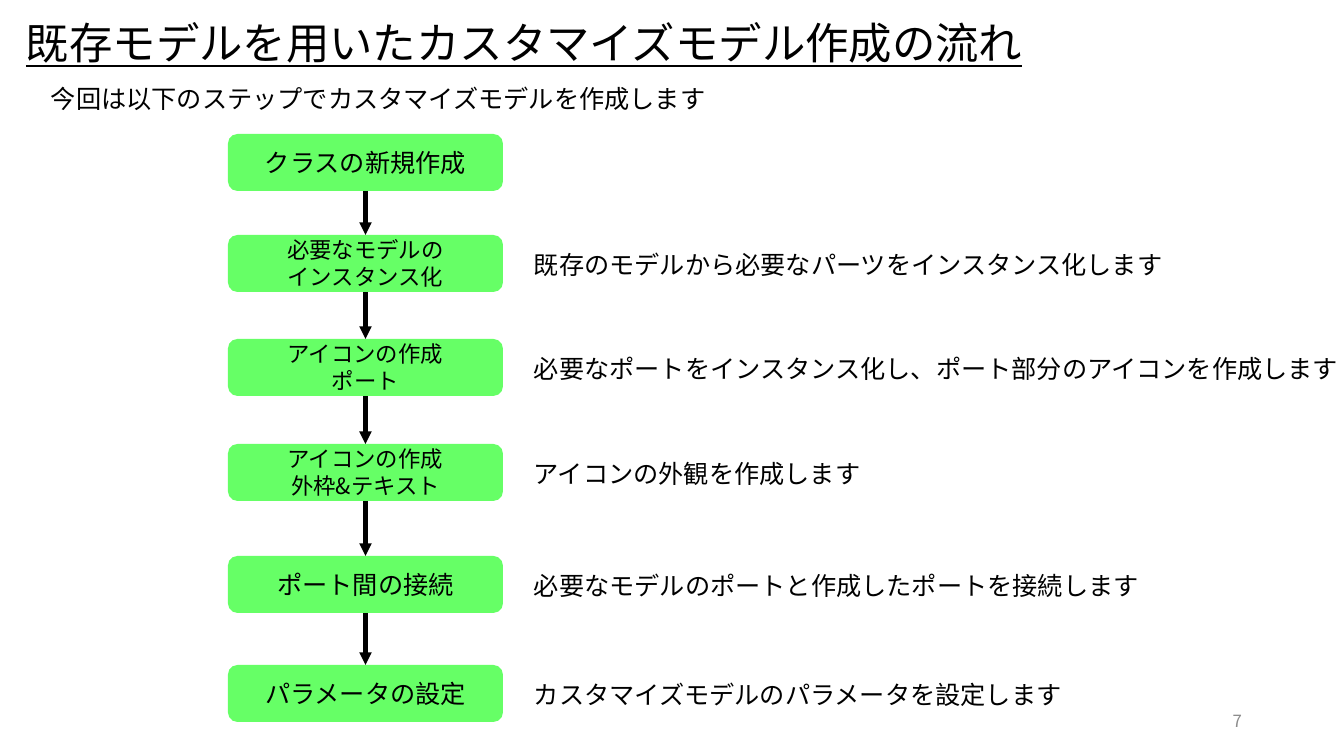
from lxml import etree
from pptx import Presentation
from pptx import util as u
from pptx.dml.color import RGBColor
from pptx.enum import shapes, text
from pptx.oxml import ns

PX = 914400 / 100.8
FONT = "Noto Sans CJK JP"
COLORS = {"ink": "000000", "step": "66FF66", "number": "8C8C8C"}


def px(*lengths):
    """Turn whole pixels into EMU lengths."""
    return [u.Emu(round(n * PX)) for n in lengths]


def write(sp, lines, size, color="ink", align="LEFT", anchor="TOP", wrap=False, **font):
    """Fill a shape with one formatted paragraph per line."""
    tf = sp.text_frame
    frame = {"auto_size": text.MSO_AUTO_SIZE.NONE, "word_wrap": wrap,
             "vertical_anchor": text.MSO_ANCHOR[anchor]}
    for name, value in frame.items():
        setattr(tf, name, value)
    for i, line in enumerate(lines):
        p = tf.paragraphs[0] if i == 0 else tf.add_paragraph()
        p.alignment = text.PP_ALIGN[align]
        r = p.add_run()
        r.text = line
        r.font.color.rgb = RGBColor.from_string(COLORS[color])
        for name, value in {"name": FONT, "size": u.Pt(size), **font}.items():
            setattr(r.font, name, value)
        ea = etree.SubElement(r.font._element, ns.qn("a:ea"))
        ea.set("typeface", FONT)


prs = Presentation()
prs.slide_width, prs.slide_height = px(1344, 756)
s = prs.slides.add_slide(prs.slide_layouts[5])

# Title and introduction
title = s.shapes.title
title.left, title.top, title.width, title.height = px(20, 10, 1019, 64)
tf = title.text_frame
for side in ("left", "top", "right", "bottom"):
    setattr(tf, "margin_" + side, px(6)[0])
write(title, ["既存モデルを用いたカスタマイズモデル作成の流れ"], 31, anchor="MIDDLE", underline=True)

intro = s.shapes.add_textbox(*px(41, 78, 682, 40))
write(intro, ["今回は以下のステップでカスタマイズモデルを作成します"], 18)

# Steps: top of box, label lines, explanation and its width
steps = [
    (134, ["クラスの新規作成"], None, 0),
    (235, ["必要なモデルの", "インスタンス化"],
     "既存のモデルから必要なパーツをインスタンス化します", 656),
    (339, ["アイコンの作成", "ポート"],
     "必要なポートをインスタンス化し、ポート部分のアイコンを作成します", 835),
    (444, ["アイコンの作成", "外枠&テキスト"], "アイコンの外観を作成します", 351),
    (556, ["ポート間の接続"], "必要なモデルのポートと作成したポートを接続します", 631),
    (665, ["パラメータの設定"], "カスタマイズモデルのパラメータを設定します", 554),
]
boxes = []
for top, label, explanation, width in steps:
    box = s.shapes.add_shape(shapes.MSO_SHAPE.ROUNDED_RECTANGLE, *px(228, top, 275, 57))
    box.shadow.inherit = False
    box.fill.solid()
    box.fill.fore_color.rgb = RGBColor.from_string(COLORS["step"])
    box.line.fill.background()
    write(box, label, 18 if len(label) == 1 else 16, align="CENTER", anchor="MIDDLE", wrap=True)
    boxes.append(box)
    if explanation:
        note = s.shapes.add_textbox(*px(524, top + 9, width, 40))
        write(note, [explanation], 18)

# Arrows from each step to the next
for upper, lower in zip(boxes, boxes[1:]):
    arrow = s.shapes.add_connector(shapes.MSO_CONNECTOR.STRAIGHT, 0, 0, 0, 0)
    arrow.begin_connect(upper, 2)
    arrow.end_connect(lower, 0)
    arrow.line.width = u.Pt(3)
    arrow.line.color.rgb = RGBColor.from_string(COLORS["ink"])
    etree.SubElement(arrow.line._get_or_add_ln(), ns.qn("a:tailEnd")).set("type", "triangle")
    etree.SubElement(arrow._element.spPr, ns.qn("a:effectLst"))

number = s.shapes.add_textbox(*px(950, 701, 302, 40))
write(number, ["7"], 12, color="number", align="RIGHT", anchor="MIDDLE", wrap=True)

prs.save("out.pptx")
